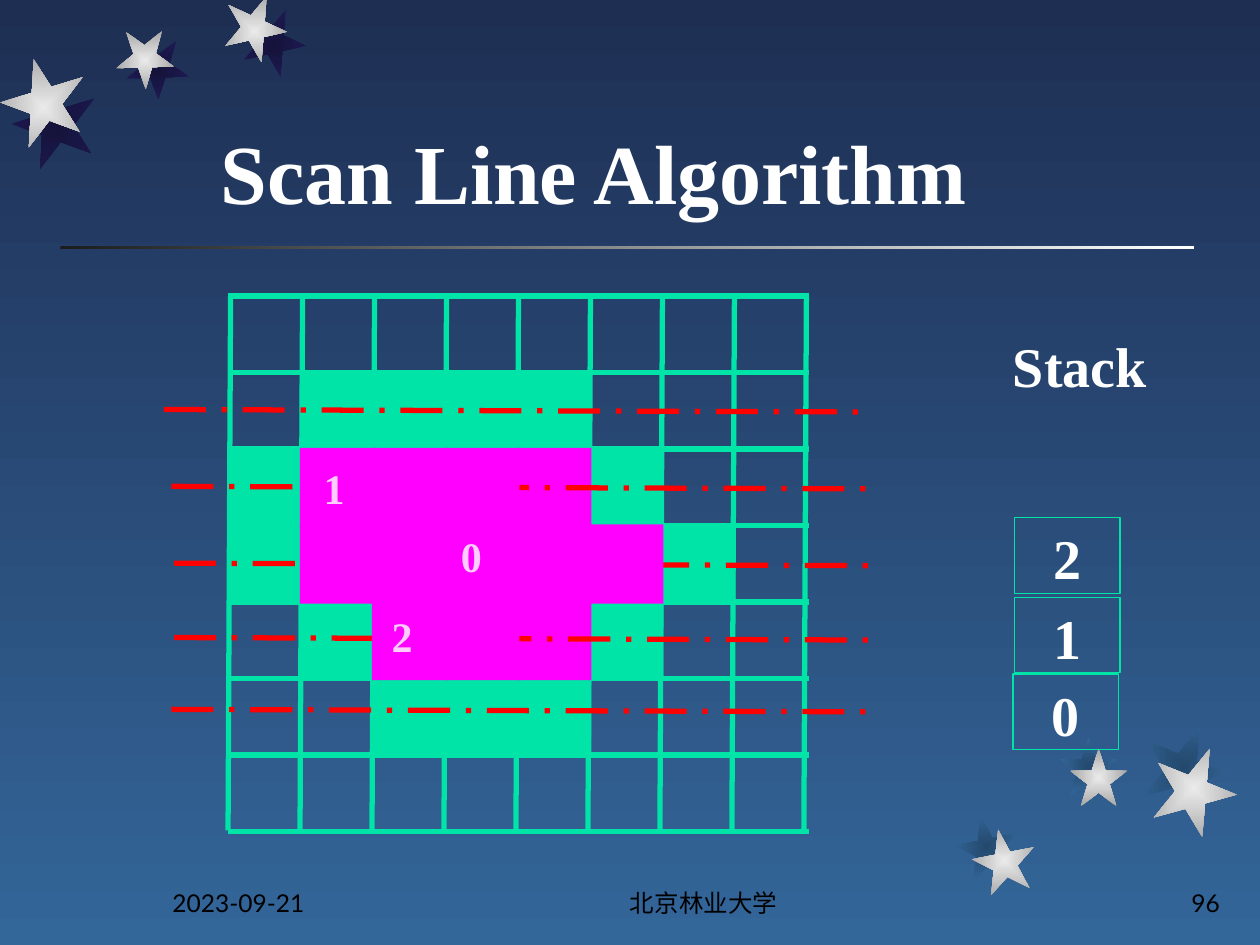
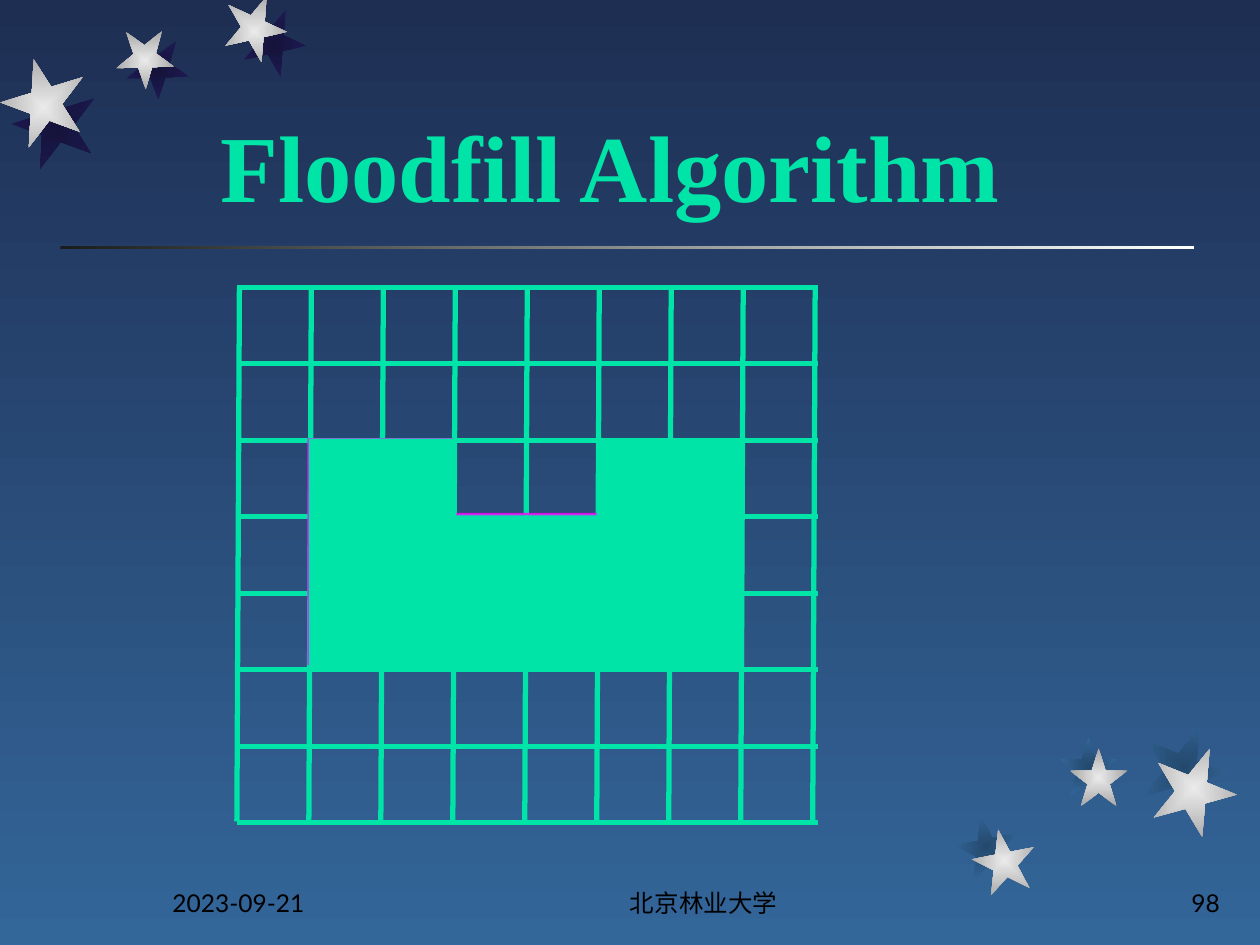
from lxml.etree import SubElement
from pptx import Presentation
from pptx.dml.color import RGBColor as RGB
from pptx.enum.dml import MSO_LINE as Dash
from pptx.enum.shapes import MSO_CONNECTOR as Link, MSO_SHAPE as Kind
from pptx.enum.text import MSO_ANCHOR as Anchor, PP_ALIGN as Align
from pptx.oxml.ns import qn
from pptx.util import Inches, Pt

HEX = {
    "white": "FFFFFF", "black": "000000", "green": "00E4A8",
    "pink": "FF00FF", "pale": "FFCCFF", "red": "FF0000",
}
FADES = {
    "sky": ("1E2E53", "336699"), "bar": ("1C1C1C", "FFFFFF"),
    "night": ("15133B", "1E1A53"), "dusk": ("24496D", "336699"),
    "silver": ("EAEAEA", "A7A7A7"),
}
SERIF, SANS = "Times New Roman", "Lato"
COLS, ROWS = 8, 7
STEP_X, STEP_Y = 4.57 / COLS, 4.25 / ROWS

# x, y, width, height, turn, fade
STARS = [
    (1.92, 0.11, 0.5, 0.5, 167.3, "night"),
    (1, 0.33, 0.5, 0.46, 178.3, "night"),
    (0.1, 0.69, 0.67, 0.67, 200.3, "night"),
    (1.77, 0, 0.5, 0.5, 167.3, "silver"),
    (0.92, 0.25, 0.46, 0.46, 178.3, "silver"),
    (0.01, 0.52, 0.67, 0.67, 200.3, "silver"),
    (7.58, 6.47, 0.5, 0.5, 349, "dusk"),
    (8.41, 5.85, 0.46, 0.46, 0, "dusk"),
    (9.06, 5.75, 0.67, 0.67, 22, "dusk"),
    (7.72, 6.58, 0.5, 0.5, 349, "silver"),
    (8.49, 5.94, 0.46, 0.46, 0, "silver"),
    (9.14, 5.92, 0.67, 0.67, 22, "silver"),
]

# g: green; u: pink below the scan lines; p: pink above them
PAGES = [
    {
        "title": "Scan Line Algorithm", "size": 48, "hue": "white",
        "width": 7.64, "num": "96", "start": (1.83, 2.35),
        "cells": ["", " gggg", "gpppug", "gpppppg", " gppug", "  ggg"],
        "scans": [(1.3, 3.25), (1.36, 3.86), (1.38, 4.47),
                  (1.38, 5.06), (1.36, 5.63)],
        "tints": [],
        "marks": [("1", 2.47, 3.62), ("2", 3.01, 4.8), ("0", 3.56, 4.16)],
        "stack": [("2", 8.05, 4.11), ("1", 8.05, 4.74), ("0", 8.04, 5.35)],
    },
    {
        "title": "Floodfill Algorithm", "size": 54, "hue": "green",
        "width": 7.09, "num": "98", "start": (1.9, 2.28),
        "cells": ["", "", " gg  gg", " gggggg", " gggggg"],
        "scans": [],
        "tints": [(2.44, 3.48, 1.16, 1.8), (4.74, 3.5, 1.16, 1.8),
                  (3.6, 4.07, 1.14, 1.22)],
        "marks": [], "stack": [],
    },
]


def put(slide, kind, at, hue=None):
    """Add a plain preset shape, filled with hue if one is given."""
    shape = slide.shapes.add_shape(kind, *map(Inches, at))
    shape.shadow.inherit = False
    shape.line.fill.background()
    if hue:
        shape.fill.solid()
        shape.fill.fore_color.rgb = RGB.from_string(HEX[hue])
    else:
        shape.fill.background()
    return shape


def rule(slide, ends, hue):
    """Add a straight line; ends holds x1, y1, x2, y2."""
    line = slide.shapes.add_connector(Link.STRAIGHT, *map(Inches, ends))
    line.line.color.rgb = RGB.from_string(HEX[hue])
    line.line.width = Pt(3)
    SubElement(line.element.spPr, qn("a:effectLst"))
    return line


deck = Presentation()
deck.slide_width, deck.slide_height = Inches(10), Inches(7.5)
base = deck.slide_layouts[5]
slides = [deck.slides.add_slide(base) for page in PAGES]

# Shared look, kept on the layout
bar = put(slides[0], Kind.RECTANGLE, (0.48, 1.95, 9, 0.03))
decor = [(bar, "bar")]
for *at, turn, fade in STARS:
    star = put(slides[0], Kind.STAR_5_POINT, at)
    star.rotation = turn
    decor.append((star, fade))

fills = [(base.background.fill, "sky", 270)]
fills += [(shape.fill, fade, 0) for shape, fade in decor]
for fill, fade, angle in fills:
    fill.gradient()
    fill.gradient_angle = angle
    for stop, tone in zip(fill.gradient_stops, FADES[fade]):
        stop.color.rgb = RGB.from_string(tone)

for num, (shape, fade) in enumerate(decor, 100):
    if fade != "bar":
        grad = shape.element.spPr.find(qn("a:gradFill"))
        grad.remove(grad.find(qn("a:lin")))
        glow = SubElement(grad, qn("a:path"), path="shape")
        SubElement(glow, qn("a:fillToRect"),
                   {side: "50000" for side in "ltrb"})
    shape.element.nvSpPr.cNvPr.set("id", str(num))
    base.shapes.element.append(shape.element)

texts = []  # frame, text, size, hue, font, align, anchor
for slide, page in zip(slides, PAGES):
    for text, x, width, align in [
        ("2023-09-21", 1.27, 2.08, Align.LEFT),
        ("北京林业大学", 4, 3.17, Align.CENTER),
        (page["num"], 7.7, 2.08, Align.RIGHT),
    ]:
        foot = slide.shapes.add_textbox(
            *map(Inches, (x, 6.83, width, 0.5))).text_frame
        foot.word_wrap = True
        texts.append((foot, text, 14, "black", SANS, align, Anchor.BOTTOM))

    title = slide.shapes.title
    title.left, title.top = Inches(1.65), Inches(0.63)
    title.width, title.height = Inches(page["width"]), Inches(1.18)
    texts.append((title.text_frame, page["title"], page["size"],
                  page["hue"], SERIF, Align.LEFT, Anchor.BOTTOM))

    # Grid
    left, top = page["start"]
    for col in range(COLS + 1):
        x = left + col * STEP_X
        rule(slide, (x, top, x - 0.02, top + 4.24), "green")
    for row in range(ROWS + 1):
        y = top + row * STEP_Y
        rule(slide, (left - 0.02, y, left + 4.59, y), "green")

    for at in page["tints"]:
        tint = put(slide, Kind.RECTANGLE, at, "pink")
        tone = tint.element.spPr.find(qn("a:solidFill"))[0]
        SubElement(tone, qn("a:alpha"), val="80000")

    # Cells and scan lines
    cells = {"g": [], "u": [], "p": []}
    for row, marks in enumerate(page["cells"]):
        for col, mark in enumerate(marks):
            if mark != " ":
                cells[mark].append((left - 0.02 + col * STEP_X,
                                    top - 0.01 + row * STEP_Y, 0.6, 0.63))
    for mark, hue in [("g", "green"), ("u", "pink"), ("p", "pink")]:
        if mark == "p":
            for x, y in page["scans"]:
                scan = rule(slide, (x, y, x + 5.58, y + 0.02), "red")
                scan.line.dash_style = Dash.LONG_DASH_DOT
        for at in cells[mark]:
            put(slide, Kind.RECTANGLE, at, hue)

    for text, x, y in page["marks"]:
        seed = slide.shapes.add_textbox(
            *map(Inches, (x, y, 0.37, 0.5))).text_frame
        seed.word_wrap = False
        texts.append((seed, text, 24, "pale", SERIF, Align.LEFT, Anchor.TOP))

    for text, x, y in page["stack"]:
        item = put(slide, Kind.RECTANGLE, (x, y, 0.84, 0.6))
        item.line.color.rgb = RGB.from_string(HEX["green"])
        item.line.width = Pt(0.75)
        texts.append((item.text_frame, text, 32, "white", SERIF,
                      Align.CENTER, Anchor.TOP))

label = slides[0].shapes.add_textbox(
    *map(Inches, (7.73, 2.58, 1.68, 0.6))).text_frame
label.word_wrap = True
texts.append((label, "Stack", 32, "white", SERIF, Align.CENTER, Anchor.TOP))

for frame, text, size, hue, font, align, anchor in texts:
    frame.vertical_anchor = anchor
    para = frame.paragraphs[0]
    para.alignment = align
    run = para.add_run()
    run.text = text
    run.font.name, run.font.size = font, Pt(size)
    run.font.bold = font == SERIF
    run.font.color.rgb = RGB.from_string(HEX[hue])

deck.save("out.pptx")
